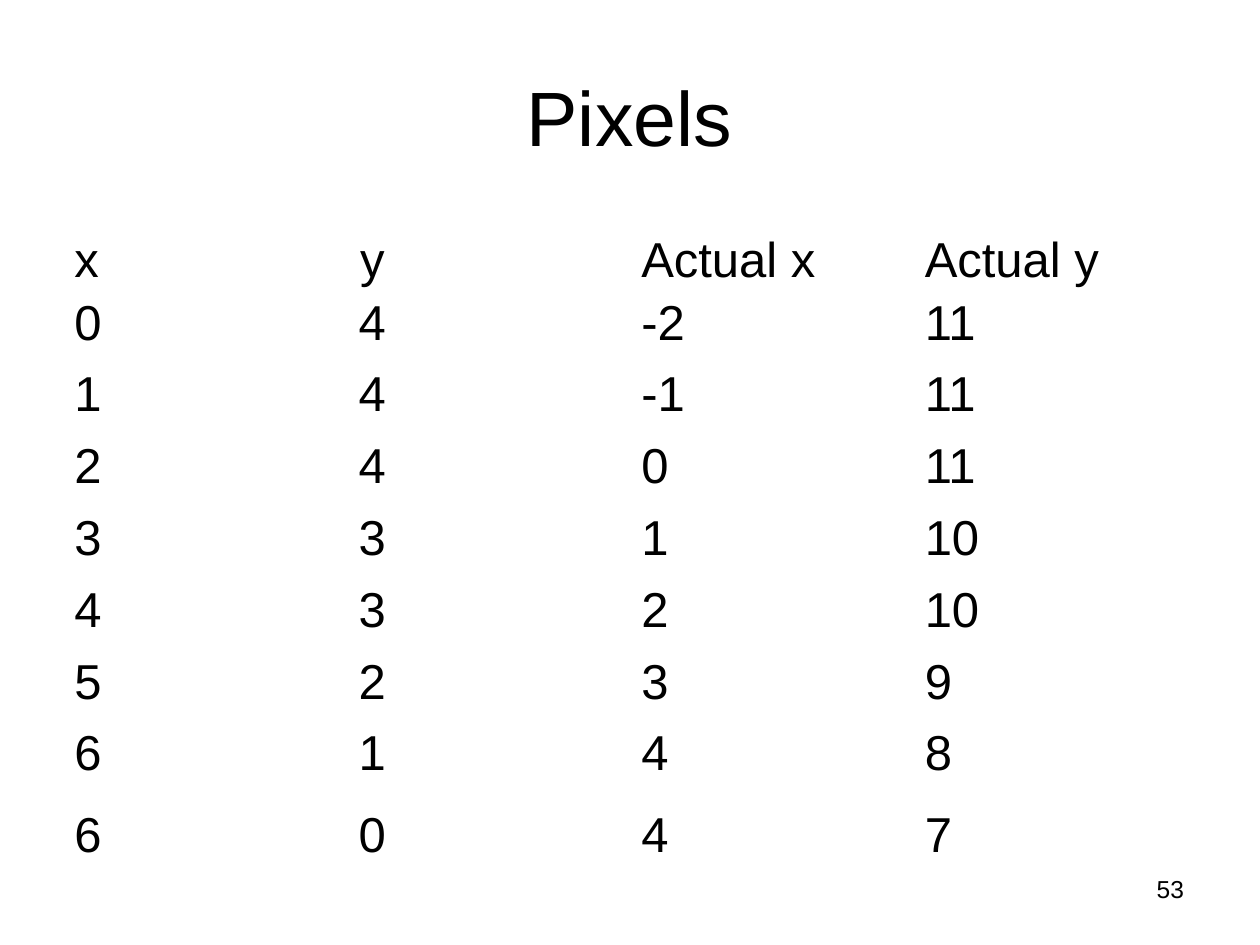
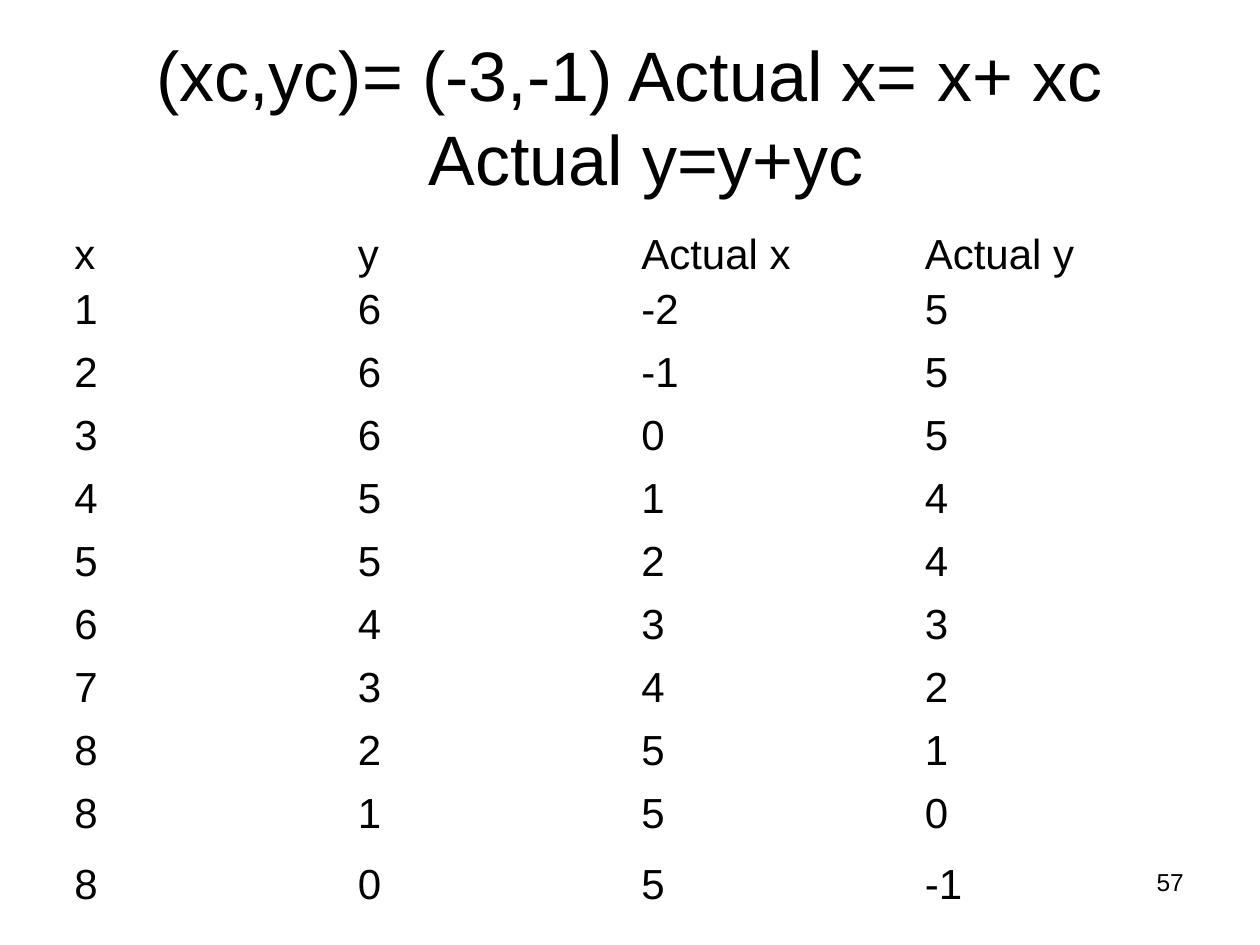
"""Build two slides that tabulate circle pixels before and after moving the centre."""
from pptx import Presentation
from pptx import util as u
from pptx.dml.color import RGBColor
from pptx.enum import text

INK = RGBColor(0, 0, 0)
FONT = "Arial"
TITLE_ONLY = 5
HEADINGS = ("x", "y", "Actual x", "Actual y")
TABLE_LEFT, TABLE_TOP = 0.56, 1.8
TEXT_START, TEXT_PITCH = 0.59, 2.25
HEADING_SPACING = 1.11

SLIDES = [
    {
        "title": "Pixels", "title_box": (4.17, 0.54, 1.65, 0.76),
        "title_size": 44, "title_indent": (0.01, 0),
        "points": [(0, 4), (1, 4), (2, 4), (3, 3), (4, 3), (5, 2), (6, 1), (6, 0)],
        "shift": (-2, 7), "columns": (1.27, 2.25, 2.83, 1.85),
        "edge_row": 0.5, "row": 0.57, "size": 28, "last_spacing": 1.18,
        "centred": {1},
        "number": "53", "number_box": (9.14, 6.89, 0.3, 0.25),
        "number_indent": 0.04, "number_spacing": 1.17,
    },
    {
        "title": "(xc,yc)= (-3,-1) Actual x= x+ xc Actual y=y+yc",
        "title_box": (1.22, 0.24, 7.56, 1.36),
        "title_size": 40, "title_indent": (2.18, -2.16),
        "points": [(1, 6), (2, 6), (3, 6), (4, 5), (5, 5), (6, 4), (7, 3),
                   (8, 2), (8, 1), (8, 0)],
        "shift": (-3, -1), "columns": (1.25, 2.25, 2.75, 1.75),
        "edge_row": 0.44, "row": 0.5, "size": 24, "last_spacing": 1.17,
        "centred": set(),
        "number": "57", "number_box": (9.17, 6.87, 0.24, 0.26),
        "number_indent": 0.01, "number_spacing": 1,
    },
]


def write(frame, words, size, indent=(0, 0), spacing=1.0, align=text.PP_ALIGN.LEFT):
    paragraph = frame.paragraphs[0]
    paragraph.alignment = align
    paragraph.line_spacing = spacing
    properties = paragraph._p.get_or_add_pPr()
    for name, length in zip(("marL", "indent"), indent):
        properties.set(name, str(u.Inches(length)))
    run = paragraph.add_run()
    run.text = words
    run.font.name, run.font.size = FONT, u.Pt(size)
    run.font.color.rgb = INK


def set_margins(target, top):
    target.margin_left = target.margin_right = target.margin_bottom = 0
    target.margin_top = u.Inches(top)


def fill_box(shape, box, words, size, indent, spacing=1.0):
    shape.left, shape.top, shape.width, shape.height = map(u.Inches, box)
    frame = shape.text_frame
    frame.word_wrap = True
    frame.auto_size = text.MSO_AUTO_SIZE.SHAPE_TO_FIT_TEXT
    frame.vertical_anchor = text.MSO_ANCHOR.TOP
    set_margins(frame, 0.01)
    write(frame, words, size, indent, spacing)


def add_pixel_table(slide, content):
    shift_x, shift_y = content["shift"]
    rows = [HEADINGS] + [(x, y, x + shift_x, y + shift_y) for x, y in content["points"]]
    last = len(rows) - 1
    heights = [content["edge_row"] if number in (0, last) else content["row"]
               for number in range(len(rows))]
    widths = content["columns"]
    table = slide.shapes.add_table(
        len(rows), len(widths), u.Inches(TABLE_LEFT), u.Inches(TABLE_TOP),
        u.Inches(sum(widths)), u.Inches(sum(heights))).table
    table.first_row = table.horz_banding = False
    for row, height in zip(table.rows, heights):
        row.height = u.Inches(height)
    left = TABLE_LEFT
    for column, width in enumerate(widths):
        table.columns[column].width = u.Inches(width)
        centred = column in content["centred"]
        indent = 0 if centred else TEXT_START + column * TEXT_PITCH - left
        align = text.PP_ALIGN.CENTER if centred else text.PP_ALIGN.LEFT
        for number, values in enumerate(rows):
            cell = table.cell(number, column)
            cell.fill.background()
            set_margins(cell, 0.03 if number else 0)
            spacing = {0: HEADING_SPACING, last: content["last_spacing"]}.get(number, 1.0)
            write(cell.text_frame, str(values[column]), content["size"],
                  (indent, 0), spacing, align)
        left += width


def main():
    presentation = Presentation()
    presentation.slide_width, presentation.slide_height = u.Inches(10), u.Inches(7.5)
    for content in SLIDES:
        slide = presentation.slides.add_slide(presentation.slide_layouts[TITLE_ONLY])
        fill_box(slide.shapes.title, content["title_box"], content["title"],
                 content["title_size"], content["title_indent"])
        add_pixel_table(slide, content)
        number_box = slide.shapes.add_textbox(*map(u.Inches, content["number_box"]))
        fill_box(number_box, content["number_box"], content["number"], 14,
                 (content["number_indent"], 0), content["number_spacing"])
    presentation.save("out.pptx")


if __name__ == "__main__":
    main()
